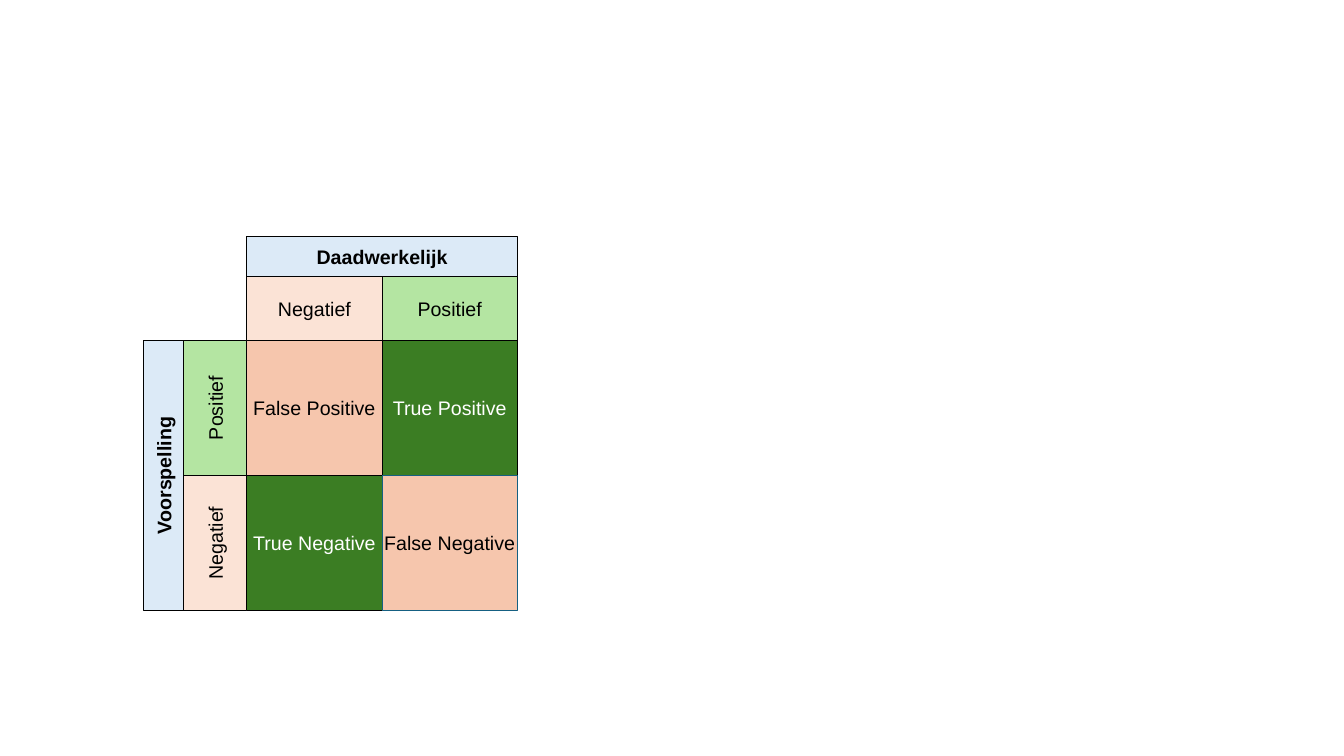
from pptx import Presentation
from pptx.dml.color import RGBColor
from pptx.enum import shapes, text
from pptx.util import Cm, Pt

BLACK, WHITE = "000000", "FFFFFF"
BLUE, TEAL = "DCEAF7", "156082"
PALE_GREEN, GREEN = "B4E5A2", "3B7D23"
PALE_ORANGE, ORANGE = "FBE3D6", "F6C6AD"

# Matrix measures in centimetres
LEFT, TOP = 6.22, 8.57
SIDE = 3.41
LABEL, TITLE = 1.6, 1.0


def rgb(value):
    return RGBColor.from_string(value)


def add_cell(label, left, top, width, height, fill, line=BLACK, color=BLACK,
             bold=False, upright=False):
    """Place a cell by its visible bounds; upright text reads bottom to top."""
    if upright:
        left += (width - height) / 2
        top += (height - width) / 2
        width, height = height, width
    box = page.shapes.add_shape(shapes.MSO_SHAPE.RECTANGLE,
                                Cm(left), Cm(top), Cm(width), Cm(height))
    box.rotation = 270 if upright else 0
    box.shadow.inherit = False
    box.fill.solid()
    box.fill.fore_color.rgb = rgb(fill)
    box.line.color.rgb = rgb(line)
    box.line.width = Pt(0.75)
    frame = box.text_frame
    frame.word_wrap = False
    frame.vertical_anchor = text.MSO_ANCHOR.MIDDLE
    para = frame.paragraphs[0]
    para.alignment = text.PP_ALIGN.CENTER
    span = para.add_run()
    span.text = label
    for name, value in {"name": "Arial", "size": Pt(14), "bold": bold}.items():
        setattr(span.font, name, value)
    span.font.color.rgb = rgb(color)


deck = Presentation()
deck.slide_width, deck.slide_height = Cm(33.87), Cm(19.05)
page = deck.slides.add_slide(deck.slide_layouts[6])

# Outcomes: correct ones are green, wrong ones orange
outcomes = [["False Positive", "True Positive"],
            ["True Negative", "False Negative"]]
for row, labels in enumerate(outcomes):
    for col, label in enumerate(labels):
        if label.startswith("True"):
            fill, line, color = GREEN, BLACK, WHITE
        else:
            fill, line, color = ORANGE, TEAL, BLACK
        add_cell(label, LEFT + col * SIDE, TOP + row * SIDE, SIDE, SIDE,
                 fill, line, color)

# Class labels along both axes
classes = [("Negatief", PALE_ORANGE), ("Positief", PALE_GREEN)]
for index, (label, fill) in enumerate(classes):
    add_cell(label, LEFT + index * SIDE, TOP - LABEL, SIDE, LABEL, fill)
    add_cell(label, LEFT - LABEL, TOP + (1 - index) * SIDE, LABEL, SIDE, fill,
             upright=True)

# Axis titles
add_cell("Daadwerkelijk", LEFT, TOP - LABEL - TITLE, 2 * SIDE, TITLE, BLUE,
         bold=True)
add_cell("Voorspelling", LEFT - LABEL - TITLE, TOP, TITLE, 2 * SIDE, BLUE,
         bold=True, upright=True)

deck.save("out.pptx")
